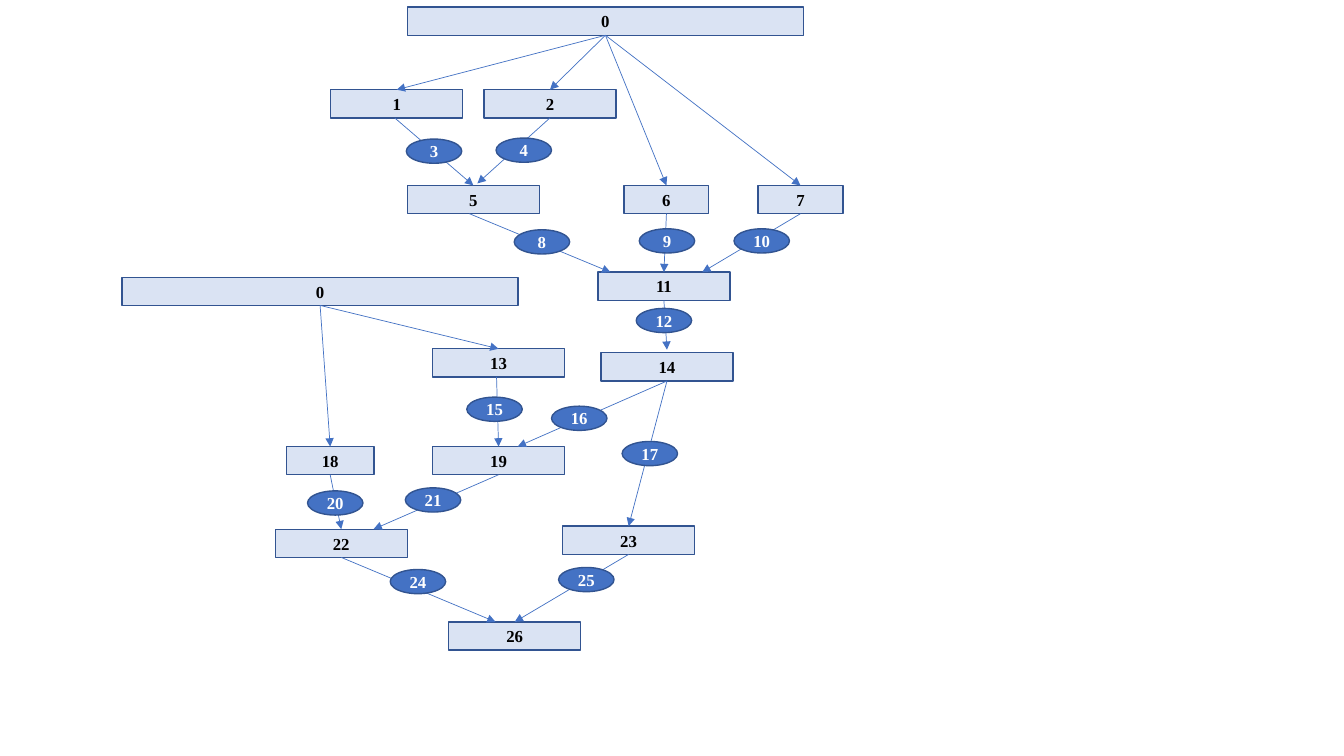
from pptx import Presentation
from pptx.dml.color import RGBColor
from pptx.enum.shapes import MSO_CONNECTOR as Line, MSO_SHAPE as Preset
from pptx.enum.text import MSO_ANCHOR as Anchor, PP_ALIGN as Align
from pptx.oxml.ns import qn
from pptx.util import Inches, Pt
from lxml.etree import SubElement

COLORS = {"box": "DAE3F3", "step": "4472C4", "outline": "325491",
          "arrow": "4472C4", "box_text": "000000", "step_text": "FFFFFF"}
FONT = {"name": "Times New Roman", "size": Pt(12), "bold": True}
FRAME = {"margin_left": 0, "margin_right": 0, "margin_top": 0,
         "margin_bottom": 0, "vertical_anchor": Anchor.MIDDLE}
BOX_HEIGHT = 0.28
STEP_SIZE = (0.55, 0.24)
WIDE, NORMAL, SMALL, MEDIUM = 3.93, 1.31, 0.84, 0.87


def rgb(name):
    return RGBColor.from_string(COLORS[name])


def apply(target, values):
    for name, value in values.items():
        setattr(target, name, value)


class FlowSlide:
    def __init__(self, slide):
        self.shapes = slide.shapes
        self.boxes = {}

    def node(self, preset, label, area, kind):
        node = self.shapes.add_shape(preset, *map(Inches, area))
        node.shadow.inherit = False
        node.fill.solid()
        node.fill.fore_color.rgb = rgb(kind)
        node.line.color.rgb = rgb("outline")
        node.line.width = Pt(1)
        apply(node.text_frame, FRAME)
        paragraph = node.text_frame.paragraphs[0]
        paragraph.alignment = Align.CENTER
        run = paragraph.add_run()
        run.text = label
        apply(run.font, FONT)
        run.font.color.rgb = rgb(kind + "_text")
        return node

    def box(self, key, label, left, top, width):
        area = (left, top, width, BOX_HEIGHT)
        self.boxes[key] = self.node(Preset.RECTANGLE, label, area, "box")

    def step(self, label, left, top):
        self.node(Preset.OVAL, label, (left, top, *STEP_SIZE), "step")

    def arrow(self, source, target, start_shift=0, end_shift=0, gap=0):
        """Run from bottom centre to top centre; glue each unshifted end."""
        upper, lower = self.boxes[source], self.boxes[target]
        arrow = self.shapes.add_connector(
            Line.STRAIGHT,
            upper.left + upper.width // 2 + Inches(start_shift),
            upper.top + upper.height,
            lower.left + lower.width // 2 + Inches(end_shift),
            lower.top - Inches(gap))
        if not start_shift:
            arrow.begin_connect(upper, 2)
        if not (end_shift or gap):
            arrow.end_connect(lower, 0)
        arrow.line.color.rgb = rgb("arrow")
        arrow.line.width = Pt(0.5)
        SubElement(arrow.line._get_or_add_ln(), qn("a:tailEnd"), type="triangle")
        SubElement(arrow._element.spPr, qn("a:effectLst"))


deck = Presentation()
deck.slide_width, deck.slide_height = Inches(13.33), Inches(7.5)
flow = FlowSlide(deck.slides.add_slide(deck.slide_layouts[6]))

# Boxes: the two starting boxes share the label 0
flow.box("upper 0", "0", 4.04, 0.07, WIDE)
flow.box("lower 0", "0", 1.21, 2.75, WIDE)
for label, left, top, width in [
        ("1", 3.28, 0.89, NORMAL), ("2", 4.8, 0.89, NORMAL),
        ("5", 4.04, 1.84, NORMAL), ("6", 6.19, 1.84, SMALL),
        ("7", 7.52, 1.84, SMALL), ("11", 5.93, 2.7, NORMAL),
        ("13", 4.29, 3.46, NORMAL), ("14", 5.96, 3.5, NORMAL),
        ("18", 2.84, 4.43, MEDIUM), ("19", 4.29, 4.43, NORMAL),
        ("22", 2.73, 5.25, NORMAL), ("23", 5.58, 5.22, NORMAL),
        ("26", 4.45, 6.17, NORMAL)]:
    flow.box(label, label, left, top, width)

# Arrows: source, target, then shifts of start and end, and gap at the head
for link in [
        ("upper 0", "1"), ("upper 0", "2"), ("upper 0", "6"), ("upper 0", "7"),
        ("1", "5", -0.02), ("2", "5", 0, 0.04, 0.02),
        ("5", "11", -0.04, -0.53), ("6", "11"), ("7", "11", 0, 0.38),
        ("11", "14", 0, 0, 0.03), ("lower 0", "13"), ("lower 0", "18"),
        ("13", "19", -0.02), ("14", "19", 0, 0.19), ("14", "23"),
        ("18", "22"), ("19", "22", 0, 0.32),
        ("22", "26", 0, -0.19), ("23", "26")]:
    flow.arrow(*link)

# Numbered steps on top of the arrows
for step in [
        ("3", 4.03, 1.38), ("4", 4.92, 1.37), ("8", 5.1, 2.28),
        ("9", 6.34, 2.27), ("10", 7.28, 2.27), ("12", 6.31, 3.06),
        ("15", 4.63, 3.94), ("16", 5.47, 4.03), ("17", 6.17, 4.38),
        ("20", 3.05, 4.87), ("21", 4.02, 4.84),
        ("24", 3.87, 5.65), ("25", 5.54, 5.63)]:
    flow.step(*step)

deck.save("out.pptx")
